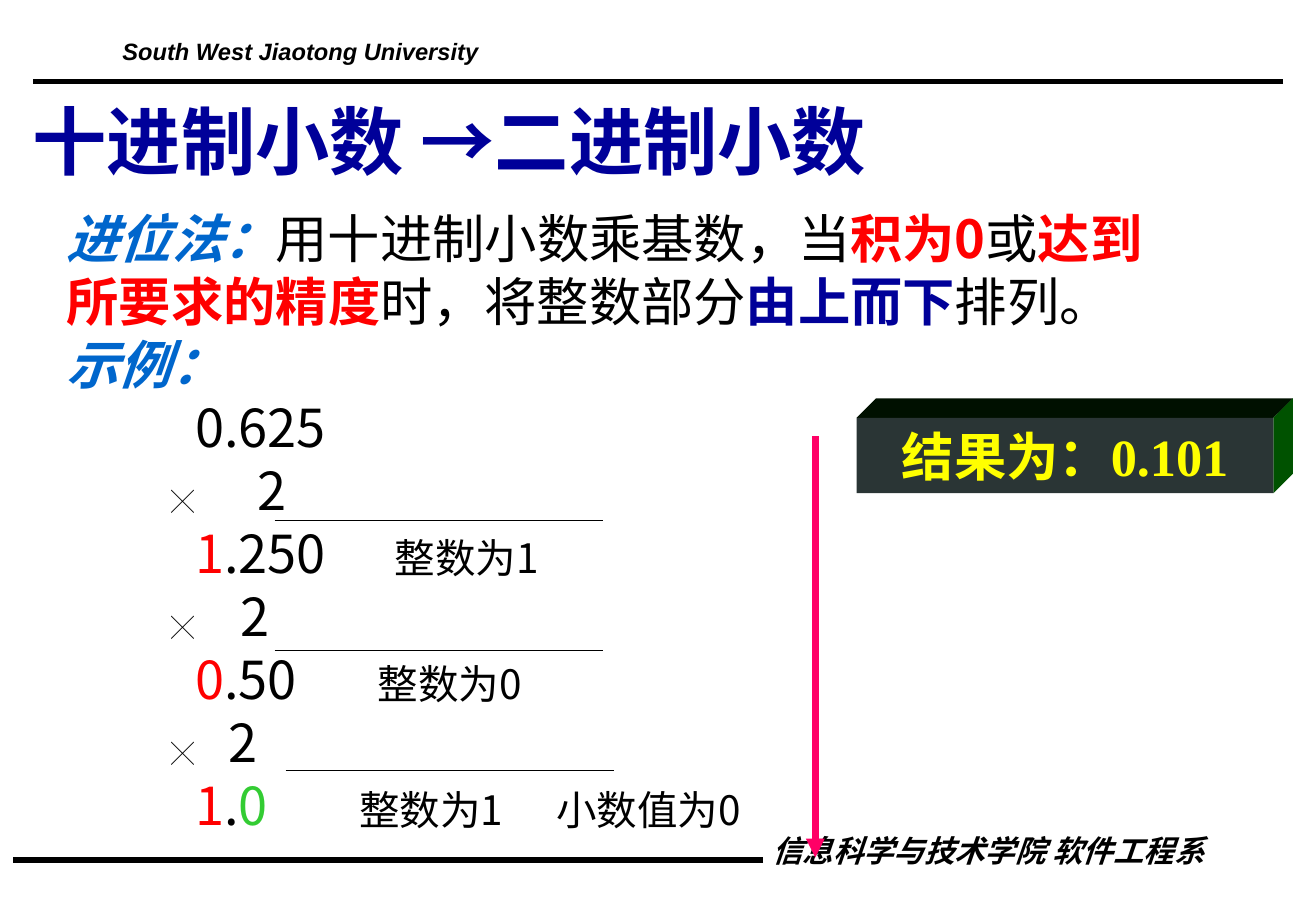
import pptx
import pptx.util
import pptx.dml.color
import pptx.enum.shapes
import pptx.enum.text
import pptx.oxml.ns
from lxml import etree

Inches, Pt = pptx.util.Inches, pptx.util.Pt
RGBColor = pptx.dml.color.RGBColor
qn = pptx.oxml.ns.qn
ALIGN = pptx.enum.text.PP_ALIGN
ANCHOR = pptx.enum.text.MSO_ANCHOR

BLACK = RGBColor(0x00, 0x00, 0x00)
NAVY = RGBColor(0x00, 0x00, 0x99)
BLUE = RGBColor(0x00, 0x66, 0xCC)
RED = RGBColor(0xFF, 0x00, 0x00)
GREEN = RGBColor(0x33, 0xCC, 0x33)
PINK = RGBColor(0xFF, 0x00, 0x66)
YELLOW = RGBColor(0xFF, 0xFF, 0x00)
BLOCK_FRONT = RGBColor(0x2A, 0x35, 0x35)
BLOCK_TOP = RGBColor(0x00, 0x10, 0x00)
BLOCK_SIDE = RGBColor(0x00, 0x52, 0x00)

CJK, SERIF, SANS = "Noto Sans CJK SC", "Times New Roman", "Arial"

# Run formats
PLAIN = {"name": CJK, "size": Pt(31), "color": BLACK}
LEAD = PLAIN | {"color": BLUE, "bold": True, "italic": True}
STRESS = PLAIN | {"color": RED, "bold": True}
ORDER = STRESS | {"color": NAVY}
INTEGER = PLAIN | {"color": RED}
FRACTION = PLAIN | {"color": GREEN}
SIGN = PLAIN | {"size": Pt(13.6)}
NOTE = PLAIN | {"size": Pt(24)}
HEADER = {"name": SANS, "size": Pt(14), "color": BLACK, "bold": True, "italic": True}
FOOTER = HEADER | {"name": CJK, "size": Pt(18)}
TITLE = {"name": SERIF, "size": Pt(44), "color": NAVY, "bold": True}
RESULT = TITLE | {"size": Pt(31), "color": YELLOW}

# Tab positions of the calculation, in inches from the text edge
SIGN_TAB, NUMBER_TAB = 0.86, 1.06


def add_span(para, text, look):
    span = para.add_run()
    span.text = text
    for key, value in look.items():
        if key == "color":
            span.font.color.rgb = value
        else:
            setattr(span.font, key, value)
    etree.SubElement(span._r.get_or_add_rPr(), qn("a:ea"), typeface=CJK)


def add_tabs(para, stops):
    tabs = etree.SubElement(para._p.get_or_add_pPr(), qn("a:tabLst"))
    for stop in stops:
        etree.SubElement(tabs, qn("a:tab"), pos=str(Inches(stop)), algn="l")


def fill_text(box, lines, **settings):
    """Write lines of (tab stops, spans); settings go to each paragraph."""
    frame = box.text_frame
    for index, (stops, spans) in enumerate(lines):
        para = frame.paragraphs[0] if index == 0 else frame.add_paragraph()
        if stops:
            add_tabs(para, stops)
        for key, value in settings.items():
            setattr(para, key, value)
        for text, look in spans:
            add_span(para, text, look)


def add_text(page, place, lines, anchor=ANCHOR.TOP, wrap=True, **settings):
    box = page.shapes.add_textbox(*map(Inches, place))
    box.text_frame.word_wrap = wrap
    box.text_frame.vertical_anchor = anchor
    fill_text(box, lines, **settings)


def add_line(page, start, end, color=BLACK, width=0.25, arrow=False):
    line = page.shapes.add_connector(
        pptx.enum.shapes.MSO_CONNECTOR.STRAIGHT, *map(Inches, start + end))
    line.line.color.rgb = color
    line.line.width = Pt(width)
    if arrow:
        etree.SubElement(line.line._get_or_add_ln(), qn("a:tailEnd"), type="triangle")
    etree.SubElement(line._element.spPr, qn("a:effectLst"))


def paint(shape, color):
    shape.shadow.inherit = False
    shape.fill.solid()
    shape.fill.fore_color.rgb = color
    shape.line.fill.background()


def add_face(page, points, color):
    corners = [(Inches(x), Inches(y)) for x, y in points]
    builder = page.shapes.build_freeform(*corners[0], scale=1.0)
    builder.add_line_segments(corners[1:], close=True)
    paint(builder.convert_to_shape(), color)


def add_block(page, left, top, width, height, depth, spans):
    right, bottom = left + width, top + height
    back_corner = (right + depth, top - depth)
    add_face(page, [(left, top), (left + depth, top - depth), back_corner, (right, top)],
             BLOCK_TOP)
    add_face(page, [(right, top), back_corner, (right + depth, bottom - depth),
                    (right, bottom)], BLOCK_SIDE)
    front = page.shapes.add_shape(pptx.enum.shapes.MSO_SHAPE.RECTANGLE,
                                  *map(Inches, (left, top, width, height)))
    paint(front, BLOCK_FRONT)
    front.text_frame.vertical_anchor = ANCHOR.MIDDLE
    fill_text(front, [((), spans)], alignment=ALIGN.CENTER)


def times_two(tab):
    return (SIGN_TAB, tab), [("\t╳", SIGN), ("\t2", PLAIN)]


def product(integer, fraction, look, *notes):
    """One product line; notes are (tab, text)."""
    spans = [("\t" + integer, INTEGER), (".", PLAIN), (fraction, look)]
    spans += [("\t" + text, NOTE) for _, text in notes]
    return (NUMBER_TAB, *(tab for tab, _ in notes)), spans


def main():
    deck = pptx.Presentation()
    deck.slide_width, deck.slide_height = Inches(10.83), Inches(7.5)
    page = deck.slides.add_slide(deck.slide_layouts[6])

    # Header and footer
    add_line(page, (10.56, 0.67), (0.27, 0.67), width=3)
    add_text(page, (0.91, 0.32, 3.14, 0.27),
             [((), [("South West Jiaotong University", HEADER)])],
             wrap=False, line_spacing=0.7)
    add_line(page, (6.28, 7.08), (0.11, 7.08), width=3)
    add_text(page, (5.26, 6.88, 4.75, 0.31),
             [((), [("信息科学与技术学院 软件工程系", FOOTER)])],
             line_spacing=0.7, alignment=ALIGN.RIGHT)

    # Title
    add_text(page, (0.17, 0.64, 9.76, 1.03),
             [((), [("十进制小数 →二进制小数", TITLE)])], anchor=ANCHOR.MIDDLE)

    # Method and worked example
    add_text(page, (0.45, 1.65, 10.12, 5.25), [
        ((), [("进位法：", LEAD), ("用十进制小数乘基数，当", PLAIN),
              ("积为0", STRESS), ("或", PLAIN), ("达到", STRESS)]),
        ((), [("所要求的精度", STRESS), ("时，将整数部分", PLAIN),
              ("由上而下", ORDER), ("排列。", PLAIN)]),
        ((), [("示例：", LEAD)]),
        ((NUMBER_TAB,), [("\t0.625", PLAIN)]),
        times_two(1.57),
        product("1", "250", PLAIN, (2.7, "整数为1")),
        times_two(1.43),
        product("0", "50", PLAIN, (2.56, "整数为0")),
        times_two(1.33),
        product("1", "0", FRACTION, (2.41, "整数为1"), (4.03, "小数值为0")),
    ], line_spacing=Pt(37.3))

    # Rules under the multiplications
    for left, y in ((2.26, 4.28), (2.26, 5.35), (2.35, 6.34)):
        add_line(page, (left, y), (left + 2.7, y))

    # Result and reading direction
    add_block(page, 7.05, 3.44, 3.43, 0.62, 0.16, [("结果为：0.101", RESULT)])
    add_line(page, (6.71, 3.59), (6.71, 7.06), PINK, 3.75, arrow=True)

    deck.save("out.pptx")


if __name__ == "__main__":
    main()
